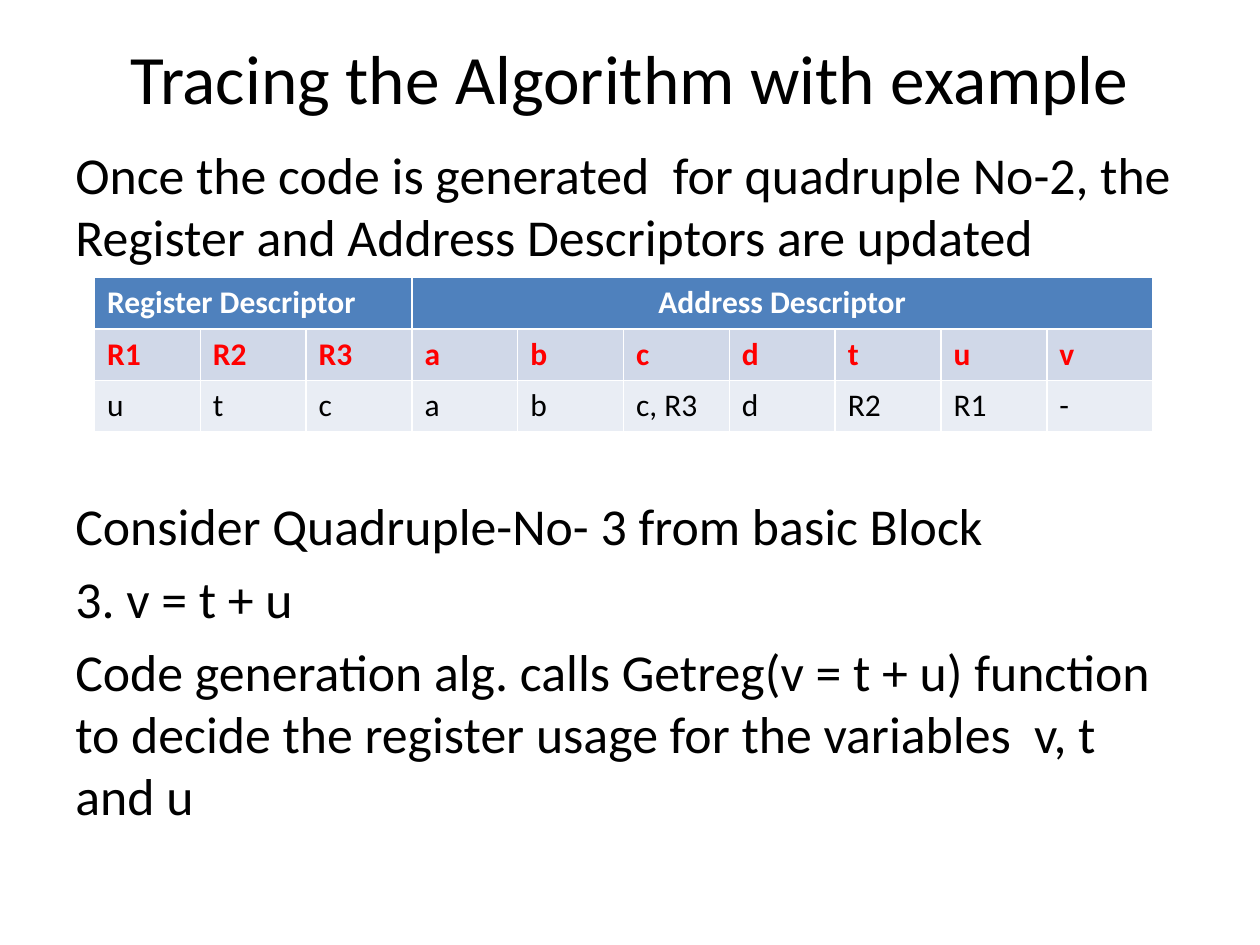
"""Build the slide on register and address descriptors."""
import pptx
import pptx.util
import pptx.dml.color
import pptx.enum.text

Inches = pptx.util.Inches
Pt = pptx.util.Pt
Color = pptx.dml.color.RGBColor
Align = pptx.enum.text.PP_ALIGN
Anchor = pptx.enum.text.MSO_ANCHOR

BLACK = Color(0, 0, 0)
WHITE = Color(255, 255, 255)
RED = Color(255, 0, 0)
BLUE = Color(0x4F, 0x81, 0xBD)
MIST = Color(0xD0, 0xD8, 0xE8)
PALE = Color(0xE9, 0xED, 0xF4)

TITLE = "Tracing the Algorithm with example"
GAP, BREAK = 6, 130
BODY = [
    ("Once the code is generated  for quadruple No-2, the Register and Address Descriptors are updated", GAP),
    ("Consider Quadruple-No- 3 from basic Block", BREAK),
    ("3. v = t + u", GAP),
    ("Code generation alg. calls Getreg(v = t + u) function to decide the register usage for the variables  v, t and u", GAP),
]
HEADS = [("Register Descriptor", 0, 3, Align.LEFT), ("Address Descriptor", 3, 7, Align.CENTER)]
NAMES = ["R1", "R2", "R3", "a", "b", "c", "d", "t", "u", "v"]
HELD = ["u", "t", "c", "a", "b", "c, R3", "d", "R2", "R1", "-"]
STYLES = [(BLUE, WHITE, True), (MIST, RED, True), (PALE, BLACK, False)]


def style(par, size, color=BLACK, bold=False):
    for run in par.runs:
        run.font.name = "Calibri"
        run.font.size = Pt(size)
        run.font.color.rgb = color
        run.font.bold = bold


def add_text(slide, top, height, items, size, align, anchor):
    box = slide.shapes.add_textbox(Inches(0.5), Inches(top), Inches(9), Inches(height))
    frame = box.text_frame
    frame.word_wrap = True
    frame.vertical_anchor = anchor
    frame.text = "\n".join(text for text, gap in items)
    for par, (text, gap) in zip(frame.paragraphs, items):
        par.alignment = align
        par.space_before = Pt(gap)
        style(par, size)


def add_grid(slide):
    cols, rows = len(NAMES), len(STYLES)
    grid = slide.shapes.add_table(rows, cols, Inches(0.75), Inches(2.2),
                                  Inches(0.84 * cols), Inches(0.41 * rows)).table
    for start, span in [(head[1], head[2]) for head in HEADS]:
        grid.cell(0, start).merge(grid.cell(0, start + span - 1))
    cells = [(0, start, text, align) for text, start, span, align in HEADS]
    for row, texts in enumerate((NAMES, HELD), 1):
        cells += [(row, col, text, Align.LEFT) for col, text in enumerate(texts)]
    for row, col, text, align in cells:
        fill, color, bold = STYLES[row]
        cell = grid.cell(row, col)
        cell.fill.solid()
        cell.fill.fore_color.rgb = fill
        cell.text_frame.text = text
        par = cell.text_frame.paragraphs[0]
        par.alignment = align
        style(par, 18, color, bold)


deck = pptx.Presentation()
deck.slide_width, deck.slide_height = Inches(10), Inches(7.5)
slide = deck.slides.add_slide(deck.slide_layouts[6])
add_text(slide, 0.3, 0.62, [(TITLE, 0)], 39.6, Align.CENTER, Anchor.MIDDLE)
add_text(slide, 1.08, 5.62, BODY, 29.6, Align.LEFT, Anchor.TOP)
add_grid(slide)
deck.save("out.pptx")
